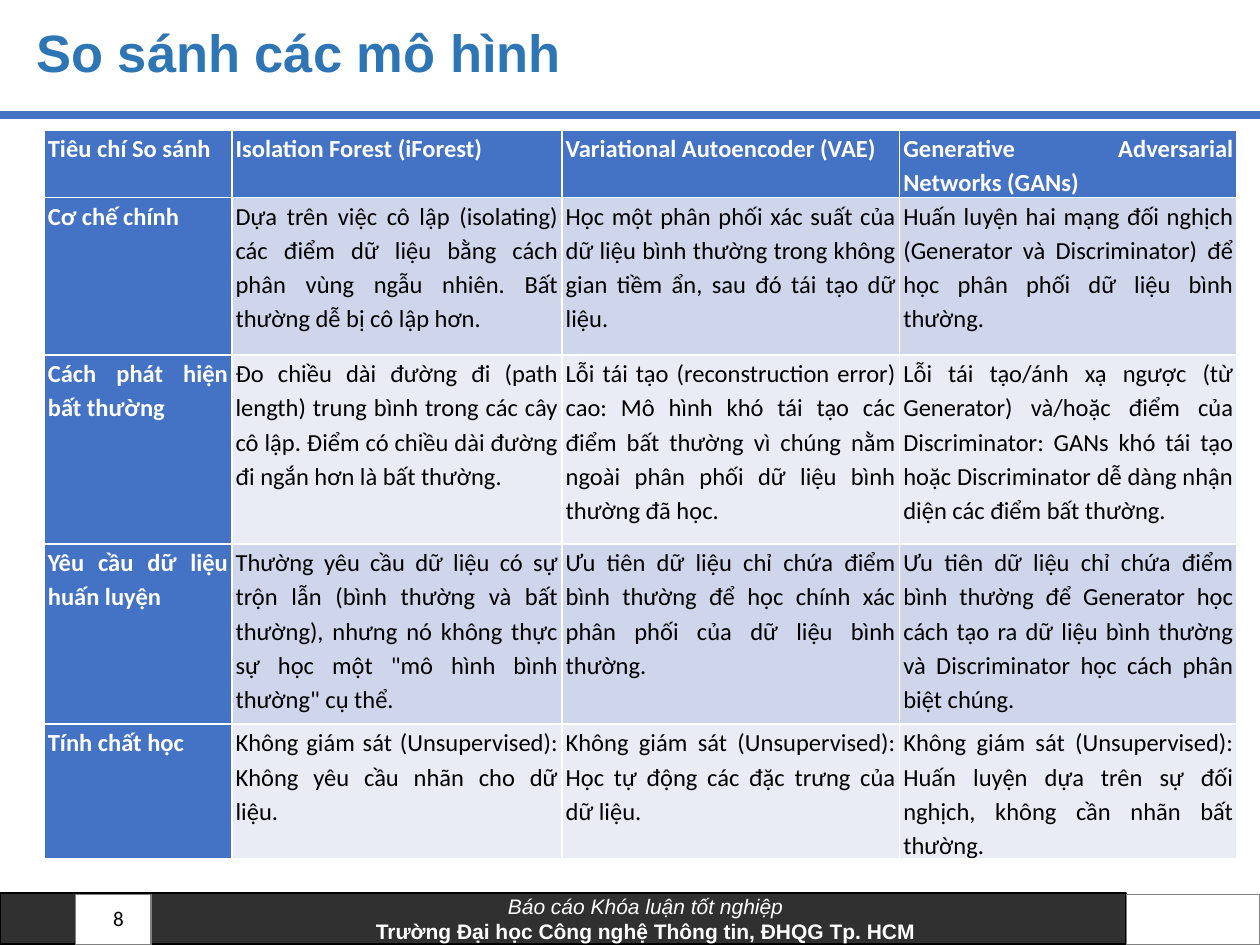
import pptx
import pptx.util
import pptx.dml.color
import pptx.enum.shapes
import pptx.enum.text
import pptx.oxml
import lxml.etree

Inches = pptx.util.Inches
Pt = pptx.util.Pt
RGBColor = pptx.dml.color.RGBColor
ALIGN = pptx.enum.text.PP_ALIGN
MIDDLE = pptx.enum.text.MSO_ANCHOR.MIDDLE

BLUE = RGBColor(0x44, 0x72, 0xC4)
TITLE = RGBColor(0x2E, 0x75, 0xB6)
DARK = RGBColor(0xCF, 0xD5, 0xEA)
LIGHT = RGBColor(0xE9, 0xEB, 0xF5)
GRAY = RGBColor(0x80, 0x80, 0x80)
BLACK = RGBColor(0, 0, 0)
WHITE = RGBColor(0xFF, 0xFF, 0xFF)


def style(para, name, size, color, align, bold=False, italic=False):
    para.alignment = align
    font = para.font
    font.name = name
    font.size = Pt(size)
    font.color.rgb = color
    font.bold = bold
    font.italic = italic


def label(left, top, width, height, text):
    box = slide.shapes.add_textbox(Inches(left), Inches(top), Inches(width), Inches(height))
    frame = box.text_frame
    frame.word_wrap = True
    frame.vertical_anchor = MIDDLE
    frame.text = text
    return frame.paragraphs[0]


deck = pptx.Presentation()
deck.slide_width = Inches(10)
deck.slide_height = Inches(7.5)
slide = deck.slides.add_slide(deck.slide_layouts[6])

bars = []
for left, top, width, fill, line in [
    (0, 7.09, 8.94, BLACK, BLACK),
    (0.6, 7.1, 0.6, WHITE, GRAY),
    (8.94, 7.1, 1.06, WHITE, GRAY),
]:
    bar = slide.shapes.add_shape(
        pptx.enum.shapes.MSO_SHAPE.RECTANGLE,
        Inches(left), Inches(top), Inches(width), Inches(0.4))
    bar.shadow.inherit = False
    bar.fill.solid()
    bar.fill.fore_color.rgb = fill
    bar.line.color.rgb = line
    bar.line.width = Pt(1)
    bars.append(bar)

foot = bars[0]
tint = foot.fill._xPr.find(".//" + pptx.oxml.ns.qn("a:srgbClr"))
lxml.etree.SubElement(tint, pptx.oxml.ns.qn("a:alpha"), val="81000")
frame = foot.text_frame
frame.word_wrap = True
frame.vertical_anchor = MIDDLE
frame.margin_left = frame.margin_right = Inches(0.15)
frame.margin_top = frame.margin_bottom = Inches(0.07)
frame.text = "Báo cáo Khóa luận tốt nghiệp\nTrường Đại học Công nghệ Thông tin, ĐHQG Tp. HCM"
for para, bold in zip(frame.paragraphs, (False, True)):
    para._p.get_or_add_pPr().set("marL", str(Inches(1.31)))
    style(para, "Arial", 12, WHITE, ALIGN.CENTER, bold, not bold)

rule = slide.shapes.add_connector(
    pptx.enum.shapes.MSO_CONNECTOR.STRAIGHT,
    Inches(0), Inches(0.91), Inches(10), Inches(0.91))
rule.line.color.rgb = BLUE
rule.line.width = Pt(4.5)
lxml.etree.SubElement(rule._element.spPr, pptx.oxml.ns.qn("a:effectLst"))

head = label(0.19, 0.16, 8.98, 0.56, "So sánh các mô hình")
head.line_spacing = 0.9
style(head, "Arial", 30, TITLE, ALIGN.LEFT, True)
style(label(0.64, 7.09, 0.44, 0.4, "8"), "Calibri", 12, BLACK, ALIGN.RIGHT)

rows = [
    ("Tiêu chí So sánh", "Isolation Forest (iForest)",
     "Variational Autoencoder (VAE)", "Generative Adversarial Networks (GANs)"),
    ("Cơ chế chính",
     "Dựa trên việc cô lập (isolating) các điểm dữ liệu bằng cách phân vùng ngẫu nhiên. Bất thường dễ bị cô lập hơn.",
     "Học một phân phối xác suất của dữ liệu bình thường trong không gian tiềm ẩn, sau đó tái tạo dữ liệu.",
     "Huấn luyện hai mạng đối nghịch (Generator và Discriminator) để học phân phối dữ liệu bình thường."),
    ("Cách phát hiện bất thường",
     "Đo chiều dài đường đi (path length) trung bình trong các cây cô lập. Điểm có chiều dài đường đi ngắn hơn là bất thường.",
     "Lỗi tái tạo (reconstruction error) cao: Mô hình khó tái tạo các điểm bất thường vì chúng nằm ngoài phân phối dữ liệu bình thường đã học.",
     "Lỗi tái tạo/ánh xạ ngược (từ Generator) và/hoặc điểm của Discriminator: GANs khó tái tạo hoặc Discriminator dễ dàng nhận diện các điểm bất thường."),
    ("Yêu cầu dữ liệu huấn luyện",
     "Thường yêu cầu dữ liệu có sự trộn lẫn (bình thường và bất thường), nhưng nó không thực sự học một \"mô hình bình thường\" cụ thể.",
     "Ưu tiên dữ liệu chỉ chứa điểm bình thường để học chính xác phân phối của dữ liệu bình thường.",
     "Ưu tiên dữ liệu chỉ chứa điểm bình thường để Generator học cách tạo ra dữ liệu bình thường và Discriminator học cách phân biệt chúng."),
    ("Tính chất học",
     "Không giám sát (Unsupervised): Không yêu cầu nhãn cho dữ liệu.",
     "Không giám sát (Unsupervised): Học tự động các đặc trưng của dữ liệu.",
     "Không giám sát (Unsupervised): Huấn luyện dựa trên sự đối nghịch, không cần nhãn bất thường."),
]
grid = slide.shapes.add_table(
    5, 4, Inches(0.35), Inches(1.03), Inches(9.46), Inches(5.79)).table
grid.first_col = True
for col, width in zip(grid.columns, (1.49, 2.62, 2.68, 2.68)):
    col.width = Inches(width)
for row, height in zip(grid.rows, (0.53, 1.25, 1.5, 1.43, 1)):
    row.height = Inches(height)

for r, texts in enumerate(rows):
    for c, text in enumerate(texts):
        cell = grid.cell(r, c)
        key = r == 0 or c == 0
        cell.fill.solid()
        cell.fill.fore_color.rgb = BLUE if key else DARK if r % 2 else LIGHT
        cell.margin_left = cell.margin_right = Inches(0.03)
        cell.margin_top = cell.margin_bottom = Inches(0)
        cell.text = text
        para = cell.text_frame.paragraphs[0]
        para.line_spacing = 1.15
        style(para, "Calibri", 14, WHITE if key else BLACK, ALIGN.JUSTIFY, key)

deck.save("out.pptx")
